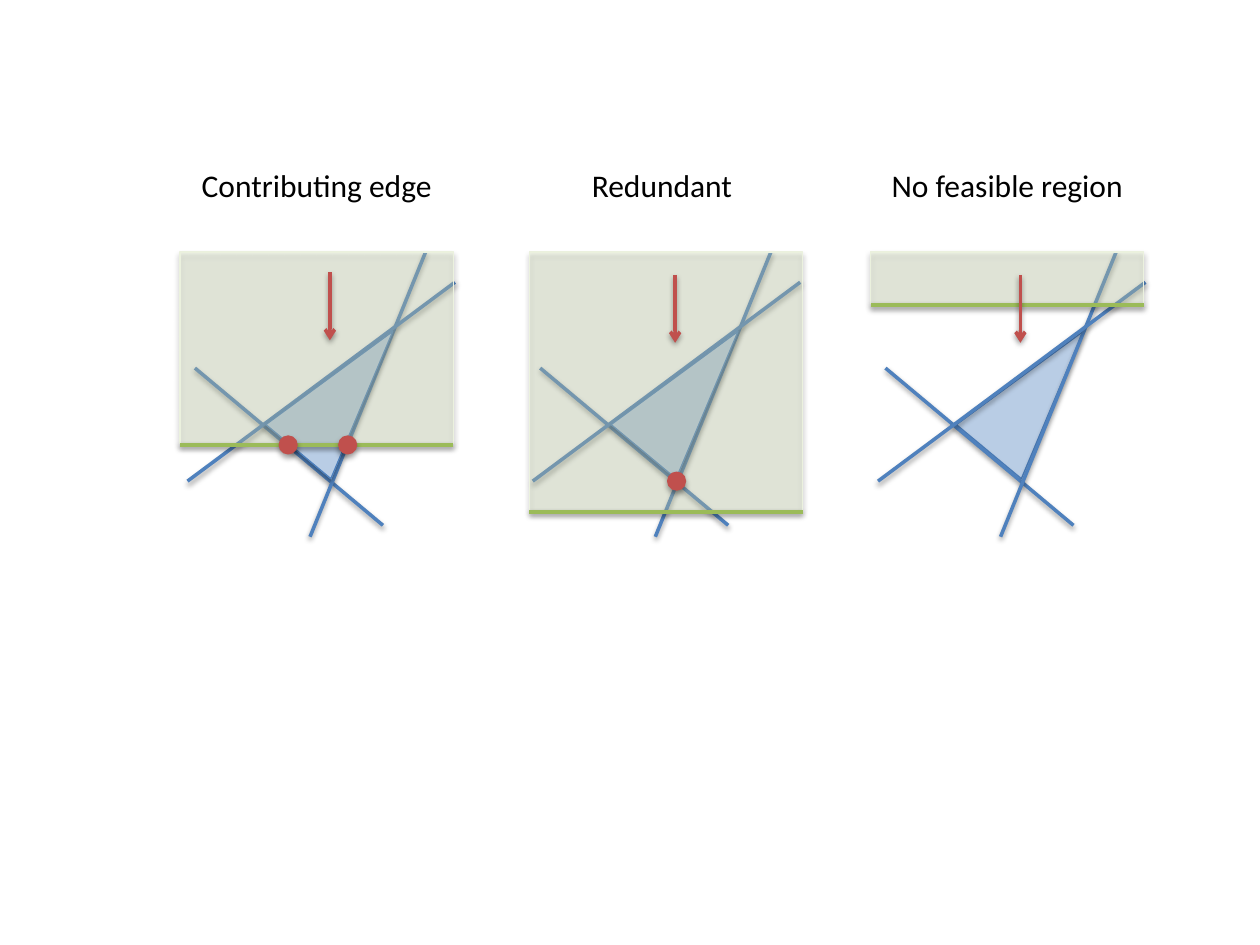
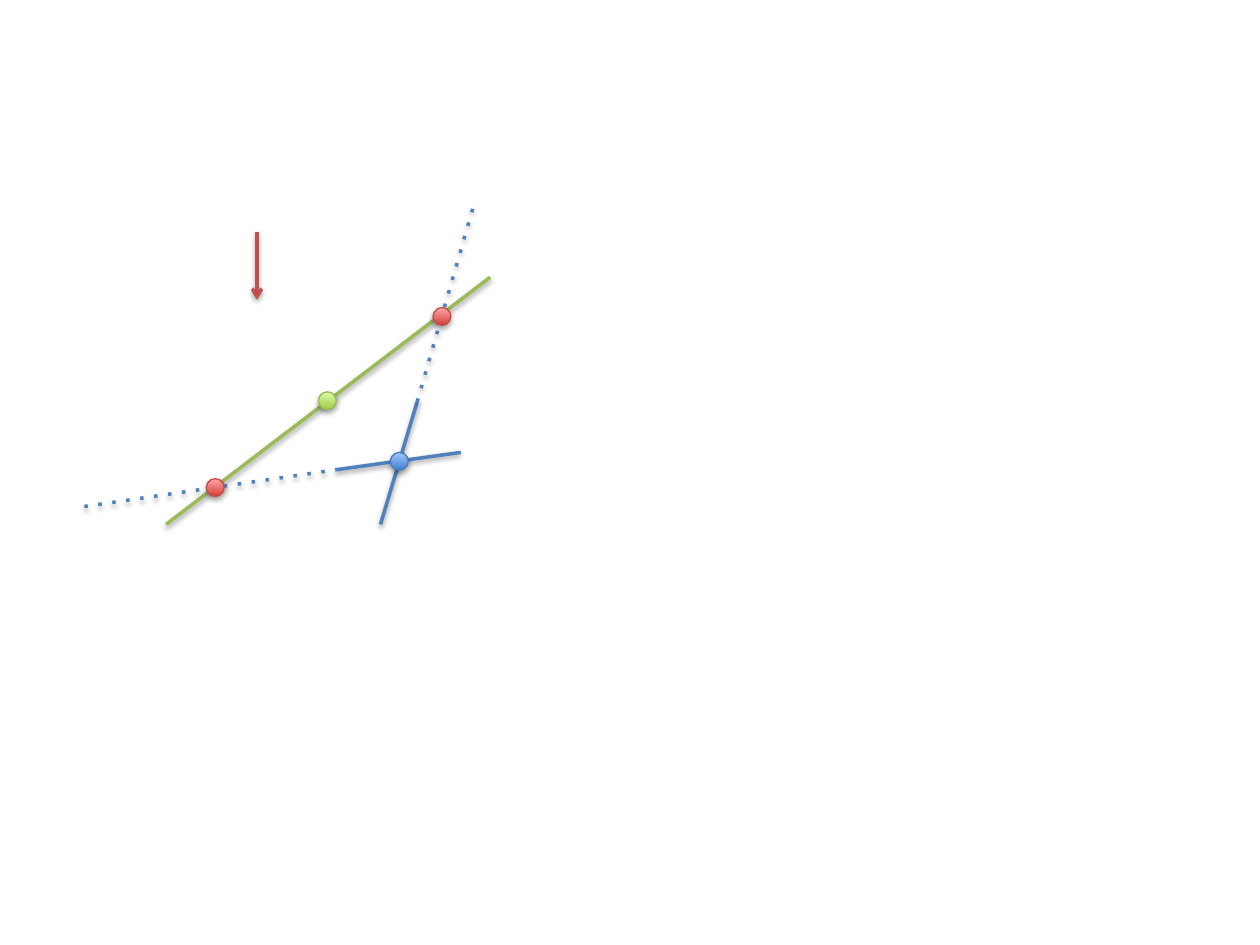
from lxml.etree import SubElement
from pptx import Presentation
from pptx.dml.color import RGBColor
from pptx.enum.shapes import MSO_CONNECTOR, MSO_SHAPE
from pptx.enum.text import MSO_AUTO_SIZE, PP_ALIGN
from pptx.oxml.ns import qn
from pptx.util import Cm, Pt

COLORS = {
    "text": "000000",
    "shadow": "000000",
    "constraint": "4F81BD",
    "new_edge": "9BBB59",
    "direction": "C0504D",
    "region": "B9CDE5",
    "region_outline": "4B7EBC",
    "half_plane": "D7E4BD",
    "half_plane_outline": "EBF1DE",
}
GRADIENT_DOTS = {
    "green": ("A0CA4A", "DAFFA5", "98B955"),
    "blue": ("3F80CE", "A4C4FF", "4B7EBC"),
    "red": ("D1403C", "FFA6A5", "BF4C48"),
}
CAPTION_FORMAT = {"name": "Calibri", "size": Pt(18)}
DOT_SIZE = 0.36
ARROW_LENGTH = 1.37
PANEL_WIDTH = 5.51
PANEL_PITCH = 6.96
CONSTRAINTS = [
    ((4.09, 5.51), (0.3, 2.34)),
    ((2.62, 5.74), (4.95, 0)),
    ((0.15, 4.62), (5.54, 0.61)),
]
FEASIBLE_REGION = [(1.73, 3.48), (3.04, 4.57), (4.29, 1.6)]
PANELS = [
    {"caption": "Contributing edge", "depth": 3.86, "shift": 0, "arrow_top": 0.41,
     "dots": [(2.18, 3.89), (3.38, 3.89)], "region_behind": False},
    {"caption": "Redundant", "depth": 5.21, "shift": 0.08, "arrow_top": 0.46,
     "dots": [(3.05, 4.62)], "region_behind": False},
    {"caption": "No feasible region", "depth": 1.04, "shift": 0, "arrow_top": 0.46,
     "dots": [], "region_behind": True},
]


def rgb(value):
    return RGBColor.from_string(value)


def add_shadow(item, distance, opacity):
    properties = item.element.spPr
    effects = properties.find(qn("a:effectLst"))
    if effects is None:
        effects = SubElement(properties, qn("a:effectLst"))
    shadow = SubElement(effects, qn("a:outerShdw"), blurRad=str(Pt(3.1)),
                        dist=str(Pt(distance)), dir="5400000", rotWithShape="0")
    color = SubElement(shadow, qn("a:srgbClr"), val=COLORS["shadow"])
    SubElement(color, qn("a:alpha"), val=str(opacity * 1000))


def finish_shape(shape, outline):
    shape.line.color.rgb = rgb(outline)
    shape.line.width = Pt(0.75)
    shape.shadow.inherit = False
    add_shadow(shape, 1.8, 35)


def fill_solid(shape, color):
    shape.fill.solid()
    shape.fill.fore_color.rgb = rgb(color)


def add_line(page, origin, start, end, color, dotted=False, arrow=False):
    left, top = origin
    line = page.shapes.add_connector(
        MSO_CONNECTOR.STRAIGHT, Cm(left + start[0]), Cm(top + start[1]),
        Cm(left + end[0]), Cm(top + end[1]))
    line.line.color.rgb = rgb(COLORS[color])
    line.line.width = Pt(2)
    stroke = line.element.spPr.find(qn("a:ln"))
    if dotted:
        SubElement(stroke, qn("a:prstDash"), val="dot")
    if arrow:
        SubElement(stroke, qn("a:tailEnd"), type="arrow")
    add_shadow(line, 1.6, 38)


def add_arrow(page, origin, x, y):
    add_line(page, origin, (x, y), (x, y + ARROW_LENGTH), "direction", arrow=True)


def add_dot(page, origin, center, gradient=None):
    left, top = (o + c - DOT_SIZE / 2 for o, c in zip(origin, center))
    dot = page.shapes.add_shape(MSO_SHAPE.FLOWCHART_CONNECTOR, Cm(left), Cm(top),
                                Cm(DOT_SIZE), Cm(DOT_SIZE))
    if gradient:
        *stops, outline = GRADIENT_DOTS[gradient]
        dot.fill.gradient()
        dot.fill.gradient_angle = 90
        for stop, color in zip(dot.fill.gradient_stops, stops):
            stop.color.rgb = rgb(color)
    else:
        outline = COLORS["direction"]
        fill_solid(dot, outline)
    finish_shape(dot, outline)


def add_region(page, origin):
    points = [(Cm(origin[0] + x), Cm(origin[1] + y)) for x, y in FEASIBLE_REGION]
    builder = page.shapes.build_freeform(*points[0])
    builder.add_line_segments(points[1:], close=True)
    region = builder.convert_to_shape()
    fill_solid(region, COLORS["region"])
    finish_shape(region, COLORS["region_outline"])


def add_half_plane(page, origin, depth):
    area = page.shapes.add_shape(MSO_SHAPE.RECTANGLE, Cm(origin[0]), Cm(origin[1]),
                                 Cm(PANEL_WIDTH), Cm(depth))
    fill_solid(area, COLORS["half_plane"])
    color = area.element.spPr.find(qn("a:solidFill")).find(qn("a:srgbClr"))
    SubElement(color, qn("a:alpha"), val="32000")
    finish_shape(area, COLORS["half_plane_outline"])
    edge = depth + 0.03
    add_line(page, origin, (PANEL_WIDTH, edge), (0, edge), "new_edge")


def add_caption(page, left, top, text):
    box = page.shapes.add_textbox(Cm(left), Cm(top), Cm(PANEL_WIDTH), Cm(1.02))
    box.text_frame.word_wrap = True
    box.text_frame.auto_size = MSO_AUTO_SIZE.SHAPE_TO_FIT_TEXT
    para = box.text_frame.paragraphs[0]
    para.alignment = PP_ALIGN.CENTER
    span = para.add_run()
    span.text = text
    for name, value in CAPTION_FORMAT.items():
        setattr(span.font, name, value)
    span.font.color.rgb = rgb(COLORS["text"])


def add_panel(page, left, top, panel):
    origin = (left, top)
    if panel["region_behind"]:
        add_region(page, origin)
    for start, end in CONSTRAINTS:
        add_line(page, origin, start, end, "constraint")
    if not panel["region_behind"]:
        add_region(page, origin)
    add_half_plane(page, (left + panel["shift"], top), panel["depth"])
    add_arrow(page, origin, 3.02, panel["arrow_top"])
    for center in panel["dots"]:
        add_dot(page, origin, center)
    add_caption(page, left, top - 1.85, panel["caption"])


def add_intersections(page, left, top):
    origin = (left, top)
    flat_start, steep_end = (5.08, 5.33), (6.71, 3.96)
    add_line(page, origin, (1.65, 6.43), (8.18, 1.45), "new_edge")
    add_dot(page, origin, (4.9, 3.94), "green")
    add_arrow(page, origin, 3.48, 0.53)
    add_line(page, origin, flat_start, (7.59, 4.98), "constraint")
    add_line(page, origin, (5.97, 6.43), steep_end, "constraint")
    add_dot(page, origin, (6.35, 5.16), "blue")
    add_line(page, origin, steep_end, (7.85, 0), "constraint", dotted=True)
    add_line(page, origin, (0, 6.07), flat_start, "constraint", dotted=True)
    for center in [(2.64, 5.69), (7.21, 2.24)]:
        add_dot(page, origin, center, "red")


deck = Presentation()
deck.slide_width, deck.slide_height = Cm(25.4), Cm(19.05)
cases_page, crossing_page = (deck.slides.add_slide(deck.slide_layouts[6]) for _ in range(2))
for index, panel in enumerate(PANELS):
    add_panel(cases_page, 3.63 + index * PANEL_PITCH, 5.08, panel)
add_intersections(crossing_page, 1.7, 4.14)
deck.save("out.pptx")
